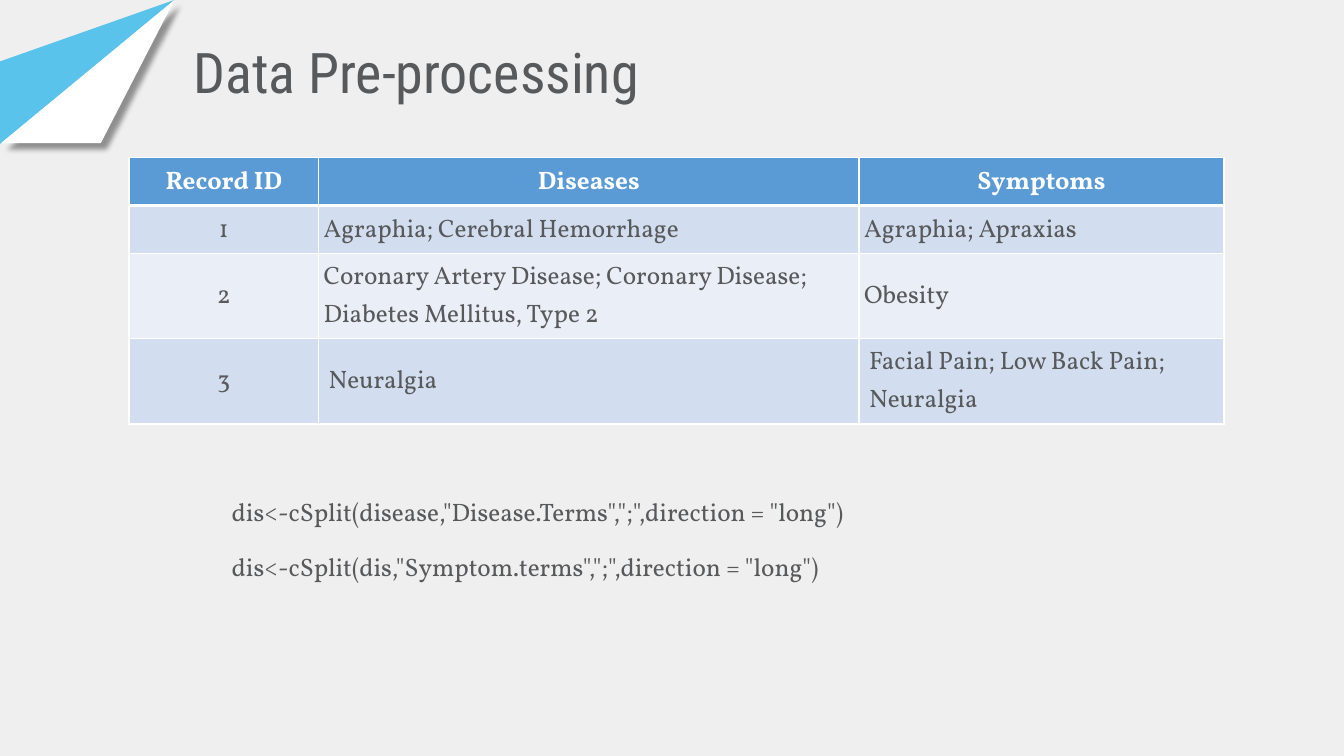
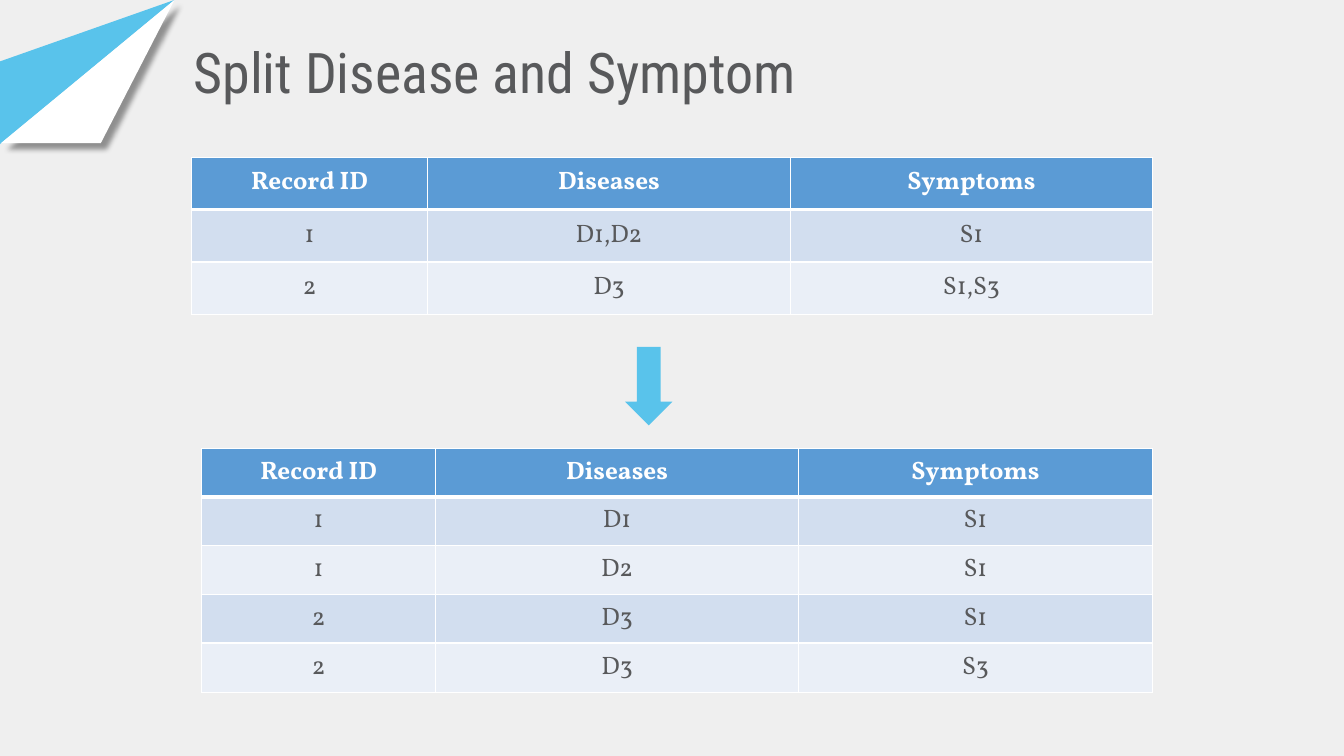
import pptx
import pptx.util
import pptx.dml.color
import pptx.enum.shapes
import pptx.enum.text
import pptx.oxml
import pptx.oxml.ns

RGBColor = pptx.dml.color.RGBColor
ALIGN = pptx.enum.text.PP_ALIGN
ANCHOR = pptx.enum.text.MSO_ANCHOR

PX = 9144  # EMU per px, 100 px to the inch
BACKGROUND = RGBColor(0xEF, 0xEF, 0xEF)
SKY = RGBColor(0x59, 0xC3, 0xEB)
WHITE = RGBColor(0xFF, 0xFF, 0xFF)
INK = RGBColor(0x58, 0x59, 0x5B)
HEADER = RGBColor(0x5B, 0x9B, 0xD5)
BANDS = RGBColor(0xD2, 0xDE, 0xEF), RGBColor(0xEA, 0xEF, 0xF7)
TITLE_FONT = "Roboto Condensed"
BODY_FONT = "Vollkorn"
COLUMNS = ["Record ID", "Diseases", "Symptoms"]
NS = pptx.oxml.ns.nsdecls("a")


def write(tf, text, font=BODY_FONT, size=18, color=INK, bold=False,
          align=ALIGN.LEFT, line=None, gap=0):
    """Put each line of text in its own paragraph, gap points apart."""
    for i, part in enumerate(text.split("\n")):
        p = tf.add_paragraph() if i else tf.paragraphs[0]
        p.alignment = align
        if line:
            p.line_spacing = pptx.util.Pt(line)
        if i:
            p.space_before = pptx.util.Pt(gap)
        r = p.add_run()
        r.text = part
        r.font.name = font
        r.font.size = pptx.util.Pt(size)
        r.font.color.rgb = color
        r.font.bold = bold


def set_borders(cell, **widths):
    """Draw white cell borders; widths in points, 1 where not given."""
    tc_pr = cell._tc.get_or_add_tcPr()
    for i, side in enumerate("LRTB"):
        width = pptx.util.Pt(widths.get(side, 1))
        tc_pr.insert(i, pptx.oxml.parse_xml(
            f'<a:ln{side} {NS} w="{width}"><a:solidFill>'
            f'<a:srgbClr val="{WHITE}"/></a:solidFill></a:ln{side}>'))


def cast_shadow(sp):
    sp.shadow.inherit = False
    effects = sp._element.spPr.find(pptx.oxml.ns.qn("a:effectLst"))
    effects.append(pptx.oxml.parse_xml(
        f'<a:outerShdw {NS} blurRad="50800" dist="76200" dir="2700000" '
        'algn="tl" rotWithShape="0"><a:srgbClr val="000000">'
        '<a:alpha val="40000"/></a:srgbClr></a:outerShdw>'))


class Deck:
    def __init__(self):
        self.prs = pptx.Presentation()
        self.prs.slide_width = pptx.util.Inches(13.33)
        self.prs.slide_height = pptx.util.Inches(7.5)
        self.s = None

    def slide(self, title, title_width):
        self.s = self.prs.slides.add_slide(self.prs.slide_layouts[6])
        fill = self.s.background.fill
        fill.solid()
        fill.fore_color.rgb = BACKGROUND
        self.outline([(0, 61), (0, 143), (173, 0)], SKY)
        cast_shadow(self.outline([(1, 142), (100, 142), (173, 0)], WHITE))
        self.text(title, 182, 32, title_width, 77, font=TITLE_FONT, size=40)

    def paint(self, sp, color):
        sp.shadow.inherit = False
        sp.fill.solid()
        sp.fill.fore_color.rgb = color
        sp.line.fill.background()
        return sp

    def outline(self, points, color):
        builder = self.s.shapes.build_freeform(*points[0], scale=PX)
        builder.add_line_segments(points[1:], close=True)
        return self.paint(builder.convert_to_shape(), color)

    def down_arrow(self, x, y, w, h):
        kind = pptx.enum.shapes.MSO_SHAPE.DOWN_ARROW
        sp = self.s.shapes.add_shape(kind, x * PX, y * PX, w * PX, h * PX)
        return self.paint(sp, SKY)

    def text(self, text, x, y, w, h, **style):
        sp = self.s.shapes.add_textbox(x * PX, y * PX, w * PX, h * PX)
        sp.text_frame.word_wrap = True
        write(sp.text_frame, text, **style)

    def table(self, x, y, widths, heights, records, line=None):
        """Add a banded table under the shared header; return it."""
        rows = [COLUMNS] + records
        table = self.s.shapes.add_table(
            len(rows), len(widths), x * PX, y * PX,
            sum(widths) * PX, sum(heights) * PX).table
        for column, width in zip(table.columns, widths):
            column.width = width * PX
        for i, (row, height) in enumerate(zip(rows, heights)):
            table.rows[i].height = height * PX
            for j, value in enumerate(row):
                cell = table.cell(i, j)
                cell.fill.solid()
                cell.fill.fore_color.rgb = BANDS[(i - 1) % 2] if i else HEADER
                cell.vertical_anchor = ANCHOR.MIDDLE
                set_borders(cell, T=3 if i == 1 else 1, B=1 if i else 3)
                write(cell.text_frame, value, color=INK if i else WHITE,
                      bold=i == 0, align=ALIGN.CENTER, line=line)
        return table


def preprocessing(deck):
    deck.slide("Data Pre-processing", 532)
    table = deck.table(128, 156, [188, 536, 362], [48, 47, 84, 85], [
        ["1", "Agraphia; Cerebral Hemorrhage", "Agraphia; Apraxias"],
        ["2", "Coronary Artery Disease; Coronary Disease; "
              "Diabetes Mellitus, Type 2", "Obesity"],
        ["3", "Neuralgia", "Facial Pain; Low Back Pain; Neuralgia"],
    ], line=27)
    for i in (1, 2, 3):
        for j in (1, 2):
            cell = table.cell(i, j)
            cell.text_frame.paragraphs[0].alignment = ALIGN.LEFT
            if i < 3:
                cell.margin_left = cell.margin_right = 5 * PX
                cell.margin_top = cell.margin_bottom = 4 * PX
    deck.text('dis<-cSplit(disease,"Disease.Terms",";",direction = "long")\n'
              'dis<-cSplit(dis,"Symptom.terms",";",direction = "long")',
              220, 487, 767, 101, gap=18)


def splitting(deck):
    deck.slide("Split Disease and Symptom", 736)
    deck.table(190, 156, [234, 360, 359], [52] * 3, [
        ["1", "D1,D2", "S1"],
        ["2", "D3", "S1,S3"],
    ])
    deck.down_arrow(620, 344, 47, 78)
    deck.table(200, 445, [232, 360, 351], [48, 48, 49, 48, 49], [
        ["1", "D1", "S1"],
        ["1", "D2", "S1"],
        ["2", "D3", "S1"],
        ["2", "D3", "S3"],
    ])


def main():
    deck = Deck()
    preprocessing(deck)
    splitting(deck)
    deck.prs.save("out.pptx")


if __name__ == "__main__":
    main()
